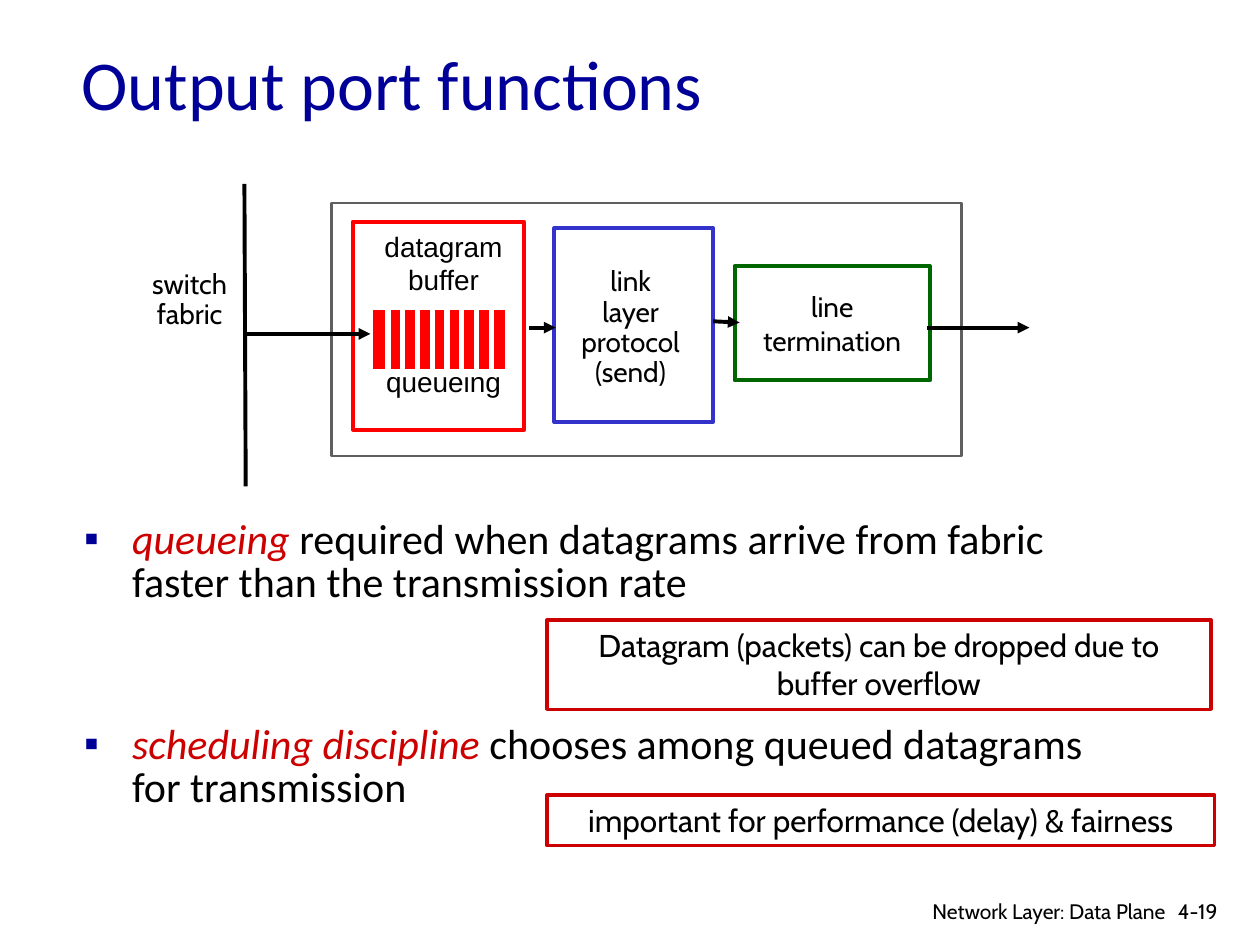
from lxml.etree import SubElement
from pptx import Presentation
from pptx.dml.color import RGBColor
from pptx.enum.shapes import MSO_CONNECTOR, MSO_SHAPE
from pptx.enum.text import MSO_ANCHOR, PP_ALIGN
from pptx.oxml.ns import qn
from pptx.util import Inches, Pt

COLORS = {
    "navy": "000099", "crimson": "CC0000", "black": "000000", "white": "FFFFFF",
    "gray": "5F5F5F", "green": "006600", "blue": "3333CC", "red": "FF0000",
}


def rgb(name):
    return RGBColor.from_string(COLORS[name])


def add_box(at, lines=(), line=None, width=2.25, fill=None, font="Cabin", size=16,
            color="black", align=PP_ALIGN.CENTER, anchor=MSO_ANCHOR.MIDDLE,
            wrap=False, **paragraph_format):
    """Add a rectangle, or a text box when it has neither fill nor line."""
    at = [Inches(v) for v in at]
    if fill or line:
        sp = s.shapes.add_shape(MSO_SHAPE.RECTANGLE, *at)
        sp.shadow.inherit = False
        sp.fill.solid()
        sp.fill.fore_color.rgb = rgb(fill or "white")
        if line:
            sp.line.color.rgb = rgb(line)
            sp.line.width = Pt(width)
        else:
            sp.line.fill.background()
    else:
        sp = s.shapes.add_textbox(*at)
    tf = sp.text_frame
    tf.word_wrap = wrap
    tf.vertical_anchor = anchor
    for i, text in enumerate(lines):
        p = tf.paragraphs[0] if i == 0 else tf.add_paragraph()
        p.alignment = align
        for key, value in paragraph_format.items():
            setattr(p, key, value)
        r = p.add_run()
        r.text = text
        r.font.name = font
        r.font.size = Pt(size)
        r.font.color.rgb = rgb(color)
    return tf


prs = Presentation()
prs.slide_width, prs.slide_height = Inches(10), Inches(7.5)
s = prs.slides.add_slide(prs.slide_layouts[6])

add_box((0.55, 0.28, 8.5, 0.75), ["Output port functions"], font="Calibri", size=40,
        color="navy", align=PP_ALIGN.LEFT, wrap=True)

# Bullets
tf = add_box((0.57, 4.08, 8.5, 2.5), anchor=MSO_ANCHOR.TOP, wrap=True)
bullets = [
    ("queueing", " required when datagrams arrive from fabric faster than the transmission rate"),
    ("scheduling discipline", " chooses among queued datagrams for transmission"),
]
for i, (term, rest) in enumerate(bullets):
    p = tf.paragraphs[0] if i == 0 else tf.add_paragraph()
    p.line_spacing = 0.85
    if i:
        p.space_before = Pt(68)
    pPr = p._p.get_or_add_pPr()
    pPr.set("marL", str(Inches(0.38)))
    pPr.set("indent", str(Inches(-0.38)))
    SubElement(SubElement(pPr, qn("a:buClr")), qn("a:srgbClr"), val=COLORS["navy"])
    SubElement(pPr, qn("a:buFont"), typeface="Arial")
    SubElement(pPr, qn("a:buChar"), char="▪")
    for text, color, italic in ((term, "crimson", True), (rest, "black", False)):
        r = p.add_run()
        r.text = text
        r.font.name = "Calibri"
        r.font.size = Pt(24)
        r.font.italic = italic
        r.font.color.rgb = rgb(color)

# Output port diagram
add_box((2.63, 1.61, 5, 2.01), line="gray", width=1.5)
add_box((5.83, 2.11, 1.55, 0.91), ["line", "termination"], line="green")
add_box((4.4, 1.81, 1.26, 1.54), line="blue")
add_box((4.43, 2.15, 1.15, 0.91), ["link", "layer", "protocol", "(send)"], line_spacing=0.9)
add_box((0.93, 1.93, 1.15, 0.91), ["switch", "fabric"], line_spacing=0.9)
add_box((2.8, 1.76, 1.36, 1.65), line="red")
tf = add_box((2.89, 1.77, 1.26, 1.6), ["datagram", "buffer", "queueing"], font="Arial",
             anchor=MSO_ANCHOR.TOP)
tf.paragraphs[2].space_before = Pt(39)
add_box((2.94, 2.44, 1.09, 0.51), line="white", width=3, fill="red")

slots = [3.08 + 0.117 * i for i in range(8)]
lines = [((x, 2.45, x, 2.94), "white", 3, False) for x in slots]
lines += [
    ((1.94, 1.46, 1.95, 3.86), "black", 2.25, False),
    ((1.93, 2.65, 2.94, 2.65), "black", 2.25, True),
    ((4.2, 2.6, 4.41, 2.6), "black", 2.25, True),
    ((5.66, 2.55, 5.87, 2.56), "black", 2.25, True),
    ((7.36, 2.6, 8.17, 2.6), "black", 2.25, True),
]
for ends, color, width, arrow in lines:
    c = s.shapes.add_connector(MSO_CONNECTOR.STRAIGHT, *[Inches(v) for v in ends])
    c.line.color.rgb = rgb(color)
    c.line.width = Pt(width)
    if arrow:
        SubElement(c.line._get_or_add_ln(), qn("a:tailEnd"), type="triangle")
    SubElement(c._element.spPr, qn("a:effectLst"))

# Callouts
callout = {"line": "crimson", "width": 2, "size": 18, "wrap": True, "anchor": MSO_ANCHOR.TOP}
add_box((4.34, 4.92, 5.27, 0.71),
        ["Datagram (packets) can be dropped due to buffer overflow"], **callout)
add_box((4.34, 6.31, 5.3, 0.4), ["important for performance (delay) & fairness"], **callout)

# Footer
footer = {"size": 12, "wrap": True, "anchor": MSO_ANCHOR.TOP}
add_box((9.25, 7.08, 0.61, 0.3), ["4-19"], align=PP_ALIGN.LEFT, **footer)
add_box((6.97, 7.08, 2.38, 0.26), ["Network Layer: Data Plane"], align=PP_ALIGN.RIGHT, **footer)

prs.save("out.pptx")
